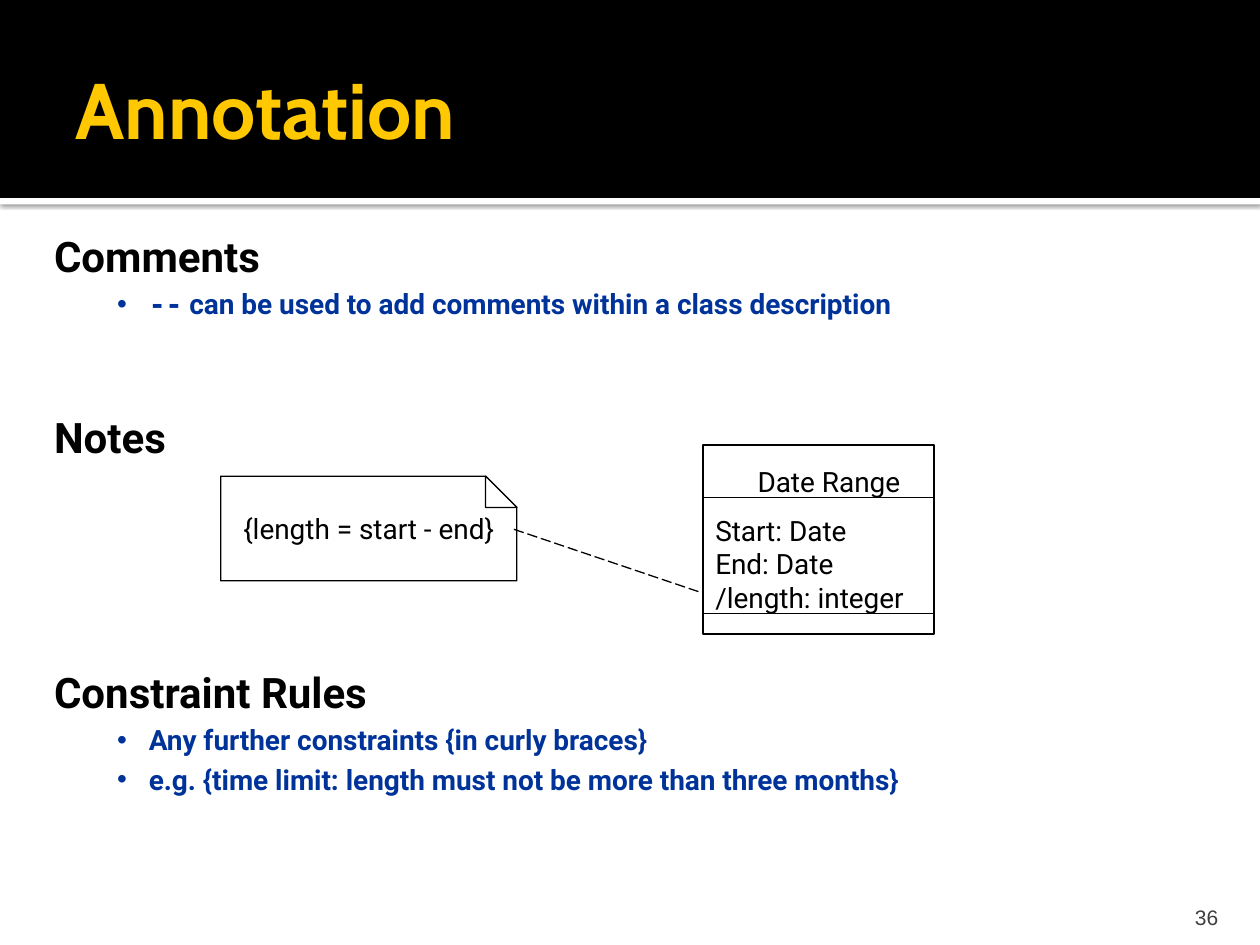
from lxml import etree
from pptx import Presentation
from pptx.dml.color import RGBColor
from pptx.enum import dml, shapes, text
from pptx.oxml import ns
from pptx.util import Cm, Pt

HUES = {"black": "000000", "white": "FFFFFF", "gold": "FFC800",
        "navy": "003399", "gray": "3F3F3F"}
SANS, MONO = "Roboto", "DejaVu Sans Mono"

# top in cm, heading, bullets as lists of (text, font)
PARTS = [
    (4.52, "Comments", [
        [("--", MONO),
         (" can be used to add comments within a class description", SANS)]]),
    (8.18, "Notes", []),
    (13.31, "Constraint Rules", [
        [("Any further constraints {in curly braces}", SANS)],
        [("e.g. {time limit: length must not be more than three months}",
          SANS)]]),
]
NOTE = "{length = start - end}"
CLASS = "Date Range"
FIELDS = ["Start: Date", "End: Date", "/length: integer"]

# left, top, width, height in cm
BAND = (0, 0, 25.4, 3.99)
RULE = (0, 3.99, 25.4, 0.13)
HEAD = (1.27, 0.43, 22.86, 3.48)
PAGE = (22.78, 17.98, 2.03, 0.76)
MEMO = (4.45, 9.6, 5.97, 2.11)
CARD = (14.17, 8.97, 4.66, 3.81)
FOLD = 0.63
SPLITS = (10.03, 12.37)
LINK = (10.36, 10.67, 14.12, 11.94)

deck = Presentation()
deck.slide_width, deck.slide_height = Cm(25.4), Cm(19.05)
slide = deck.slides.add_slide(deck.slide_layouts[6])
items = slide.shapes


def hue(name):
    return RGBColor.from_string(HUES[name])


def paint(shape, fill=None, line=None):
    shape.shadow.inherit = False
    if fill:
        shape.fill.solid()
        shape.fill.fore_color.rgb = hue(fill)
    else:
        shape.fill.background()
    if line:
        shape.line.color.rgb = hue(line)
        shape.line.width = Pt(0.75)
    else:
        shape.line.fill.background()
    return shape


def block(area, fill=None, line=None, kind="RECTANGLE"):
    form = getattr(shapes.MSO_SHAPE, kind)
    return paint(items.add_shape(form, *map(Cm, area)), fill, line)


def frame(shape, anchor="TOP"):
    body = shape.text_frame
    body.word_wrap = True
    body.vertical_anchor = getattr(text.MSO_ANCHOR, anchor)
    return body


def box(area, anchor="TOP"):
    return frame(items.add_textbox(*map(Cm, area)), anchor)


def write(para, words, size, color="black", font=SANS, bold=False):
    para.alignment = para.alignment or text.PP_ALIGN.LEFT
    run = para.add_run()
    run.text = words
    run.font.size, run.font.name, run.font.bold = Pt(size), font, bold
    run.font.color.rgb = hue(color)


def indent(para, left, hang=0):
    props = para._p.get_or_add_pPr()
    props.set("marL", str(Cm(left)))
    props.set("indent", str(Cm(-hang)))
    return props


def bullet(para):
    props = indent(para, 1.91, 0.64)
    tint = etree.SubElement(props, ns.qn("a:buClr"))
    etree.SubElement(tint, ns.qn("a:srgbClr"), val=HUES["navy"])
    etree.SubElement(props, ns.qn("a:buFont"), typeface="Arial")
    etree.SubElement(props, ns.qn("a:buChar"), char="•")


def shade(shape):
    """Soft shadow straight below the shape."""
    effects = shape._element.spPr.find(ns.qn("a:effectLst"))
    outer = etree.SubElement(effects, ns.qn("a:outerShdw"), algn="tl",
                             blurRad=str(Pt(2.5)), dist=str(Pt(0.8)),
                             dir="5400000", rotWithShape="0")
    tint = etree.SubElement(outer, ns.qn("a:srgbClr"), val=HUES["black"])
    etree.SubElement(tint, ns.qn("a:alpha"), val="60000")


def wire(x1, y1, x2, y2):
    line = items.add_connector(shapes.MSO_CONNECTOR.STRAIGHT,
                               Cm(x1), Cm(y1), Cm(x2), Cm(y2))
    line.line.color.rgb = hue("black")
    line.line.width = Pt(0.75)
    etree.SubElement(line._element.spPr, ns.qn("a:effectLst"))
    return line


# header
shade(block(RULE, "white"))
block(BAND, "black")
write(box(HEAD, "MIDDLE").paragraphs[0], "Annotation", 45, "gold",
      "Cabin", True)

# sections
for top, title, points in PARTS:
    body = box((0.84, top, 23.7, 1.2 + len(points)))
    write(body.paragraphs[0], title, 24, bold=True)
    for runs in points:
        para = body.add_paragraph()
        para.space_before = Pt(3.5)
        bullet(para)
        for words, font in runs:
            write(para, words, 16, "navy", font, True)

# note with a folded corner
x, y, w, h = MEMO
right, low = x + w, y + h
path = items.build_freeform(Cm(x), Cm(y))
path.add_line_segments([(Cm(a), Cm(b)) for a, b in (
    (right - FOLD, y), (right, y + FOLD), (right, low), (x, low))])
memo = paint(path.convert_to_shape(), line="black")
write(frame(memo, "MIDDLE").paragraphs[0], NOTE, 16)
block((right - FOLD, y, FOLD, FOLD), "white", "black", "RIGHT_TRIANGLE")

# class card
body = frame(block(CARD, line="black"), "MIDDLE")
indent(body.paragraphs[0], 0.42)
write(body.paragraphs[0], CLASS, 16)
for i, words in enumerate(FIELDS):
    para = body.add_paragraph()
    para.space_before = Pt(0 if i else 8.5)
    write(para, words, 16)
for level in SPLITS:
    wire(CARD[0], level, CARD[0] + CARD[2], level)
wire(*LINK).line.dash_style = dml.MSO_LINE.LONG_DASH

# page number
body = box(PAGE, "BOTTOM")
body.margin_bottom = 0
body.paragraphs[0].alignment = text.PP_ALIGN.RIGHT
write(body.paragraphs[0], "36", 12, "gray", "Arial")

deck.save("out.pptx")
